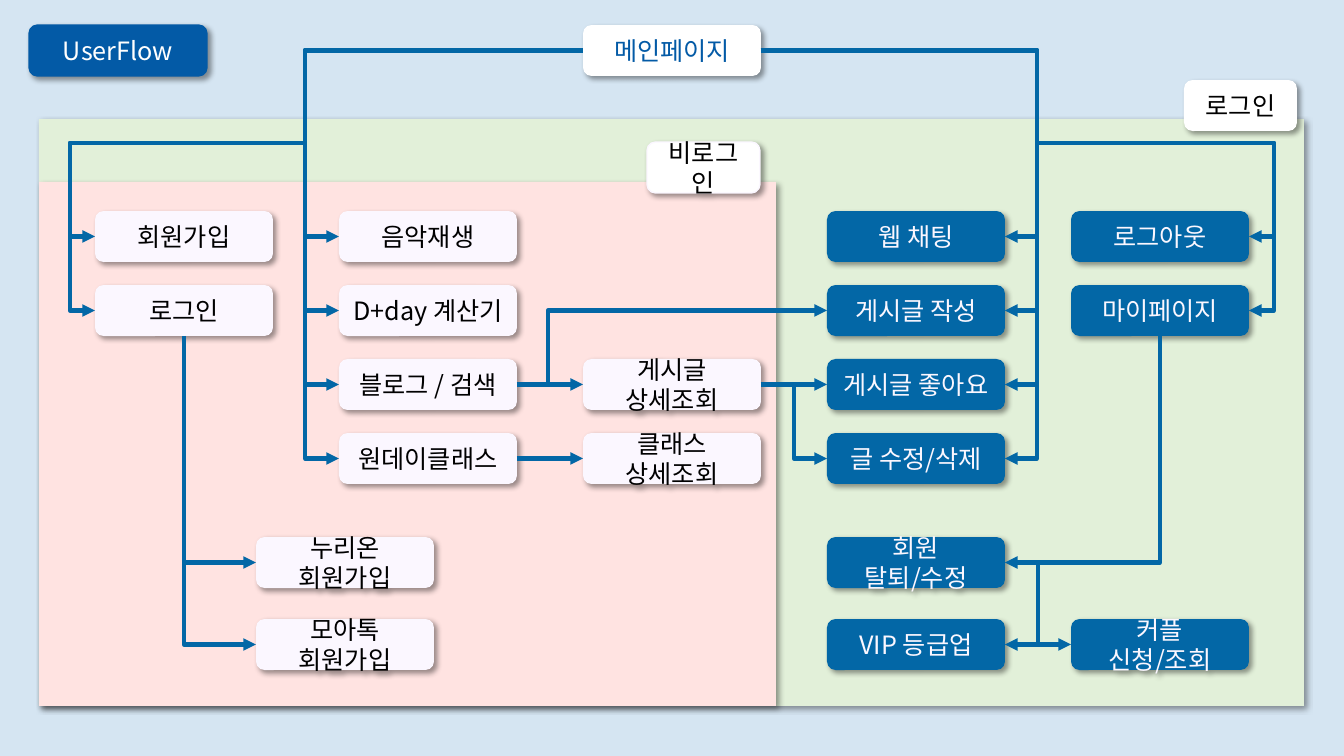
from lxml import etree
from pptx import Presentation
from pptx.dml.color import RGBColor
from pptx.enum.shapes import MSO_CONNECTOR, MSO_SHAPE
from pptx.enum.text import MSO_ANCHOR, PP_ALIGN
from pptx.oxml.ns import qn
from pptx.util import Pt

RECTANGLE, ROUNDED = MSO_SHAPE.RECTANGLE, MSO_SHAPE.ROUNDED_RECTANGLE
STRAIGHT, ELBOW = MSO_CONNECTOR.STRAIGHT, MSO_CONNECTOR.ELBOW
TOP, LEFT, BOTTOM, RIGHT = range(4)

PAGE_WIDTH, PAGE_HEIGHT = 1344, 756
SCALE = 12192000 / PAGE_WIDTH
FONT = "Noto Sans CJK KR"
COLORS = {
    "page": "D5E5F2", "member area": "E2F0D9", "guest area": "FFE3E1",
    "white": "FFFFFF", "pale": "FBF7FF", "black": "000000",
    "blue": "0367A6", "title blue": "035AA6",
}
# style: fill, text, outline
STYLES = {
    "guest": ("pale", "black", None),
    "member": ("blue", "pale", None),
    "main": ("white", "title blue", None),
    "member tag": ("white", "black", None),
    "guest tag": ("white", "black", "pale"),
    "title": ("title blue", "white", "title blue"),
}

BOX_WIDTH, BOX_HEIGHT, TAG_WIDTH = 178, 51, 113
COLUMNS = [95 + 244 * column for column in range(5)]
ROWS = [211 + 74 * row for row in range(4)]
SOCIAL_COLUMN = 256
ACCOUNT_ROW, SOCIAL_ROW = 537, 619
HEADER_ROW = 25

AREAS = [
    ("member area", 39, 119, 1265, 587),
    ("guest area", 39, 182, 737, 524),
]
# style, left, {label: top}
BOX_GROUPS = [
    ("main", COLUMNS[2], {"메인페이지": HEADER_ROW}),
    ("guest", COLUMNS[0], dict(zip(["회원가입", "로그인"], ROWS))),
    ("member", COLUMNS[4], dict(zip(["로그아웃", "마이페이지"], ROWS))),
    ("guest", COLUMNS[1],
     dict(zip(["음악재생", "D+day 계산기", "블로그 / 검색", "원데이클래스"], ROWS))),
    ("member", COLUMNS[3],
     dict(zip(["웹 채팅", "게시글 작성", "게시글 좋아요", "글 수정/삭제"], ROWS))),
    ("guest", COLUMNS[2], dict(zip(["게시글 상세조회", "클래스 상세조회"], ROWS[2:]))),
    ("member", COLUMNS[3], {"회원 탈퇴/수정": ACCOUNT_ROW, "VIP 등급업": SOCIAL_ROW}),
    ("member", COLUMNS[4], {"커플 신청/조회": SOCIAL_ROW}),
    ("guest", SOCIAL_COLUMN, {"누리온 회원가입": ACCOUNT_ROW, "모아톡 회원가입": SOCIAL_ROW}),
]
# style, label, left, top, width
TAGS = [
    ("guest tag", "비로그인", 647, 142, TAG_WIDTH),
    ("member tag", "로그인", 1184, 80, TAG_WIDTH),
    ("title", "UserFlow", 29, 25, BOX_WIDTH),
]
JUNCTIONS = {"guest fork": (305, 143), "member fork": (1037, 143), "account fork": (1038, 563)}
# source, source side, x of the bend (None is straight), target side, targets
FLOWS = [
    ("메인페이지", LEFT, 305, LEFT, ["음악재생", "D+day 계산기", "블로그 / 검색", "원데이클래스"]),
    ("블로그 / 검색", RIGHT, None, LEFT, ["게시글 상세조회"]),
    ("원데이클래스", RIGHT, None, LEFT, ["클래스 상세조회"]),
    ("블로그 / 검색", RIGHT, 548, LEFT, ["게시글 작성"]),
    ("guest fork", None, 70, LEFT, ["회원가입", "로그인"]),
    ("메인페이지", RIGHT, 1037, RIGHT, ["웹 채팅", "게시글 작성", "게시글 좋아요", "글 수정/삭제"]),
    ("게시글 상세조회", RIGHT, None, LEFT, ["게시글 좋아요"]),
    ("게시글 상세조회", RIGHT, 794, LEFT, ["글 수정/삭제"]),
    ("member fork", None, 1274, RIGHT, ["로그아웃", "마이페이지"]),
    ("로그인", BOTTOM, 184, LEFT, ["누리온 회원가입", "모아톡 회원가입"]),
    ("마이페이지", BOTTOM, 1160, RIGHT, ["회원 탈퇴/수정"]),
    ("account fork", None, 1038, RIGHT, ["VIP 등급업"]),
    ("account fork", None, 1038, LEFT, ["커플 신청/조회"]),
]


def emu(*lengths):
    return [round(length * SCALE) for length in lengths]


def color(name):
    return RGBColor.from_string(COLORS[name])


def add_shadow(shape):
    shape.shadow.inherit = False
    effects = shape._element.spPr.find(qn("a:effectLst"))
    shadow = etree.SubElement(effects, qn("a:outerShdw"), blurRad=str(Pt(4)),
                              dist=str(Pt(3)), dir="2700000", algn="tl", rotWithShape="0")
    tint = etree.SubElement(shadow, qn("a:srgbClr"), val=COLORS["black"])
    etree.SubElement(tint, qn("a:alpha"), val="40000")


def add_panel(page, preset, fill, outline, *place):
    panel = page.shapes.add_shape(preset, *emu(*place))
    panel.fill.solid()
    panel.fill.fore_color.rgb = color(fill)
    if outline:
        panel.line.color.rgb = color(outline)
        panel.line.width = Pt(1)
    else:
        panel.line.fill.background()
    add_shadow(panel)
    return panel


def add_box(page, style, label, left, top, width):
    fill, ink, outline = STYLES[style]
    box = add_panel(page, ROUNDED, fill, outline, left, top, width, BOX_HEIGHT)
    box.text_frame.word_wrap = True
    box.text_frame.vertical_anchor = MSO_ANCHOR.MIDDLE
    para = box.text_frame.paragraphs[0]
    para.alignment = PP_ALIGN.CENTER
    span = para.add_run()
    span.text = label
    for name, value in {"size": Pt(18), "name": FONT}.items():
        setattr(span.font, name, value)
    span.font.color.rgb = color(ink)
    etree.SubElement(span._r.get_or_add_rPr(), qn("a:ea"), typeface=FONT)
    return box


def side_middle(box, side):
    """Middle of one side of a box, in EMU."""
    across = {LEFT: 0, RIGHT: box.width}.get(side, box.width // 2)
    down = {TOP: 0, BOTTOM: box.height}.get(side, box.height // 2)
    return box.left + across, box.top + down


def add_arrow(page, start, end, bend):
    """Arrow from start to end in EMU; an elbow runs vertically at x = bend."""
    arrow = page.shapes.add_connector(ELBOW if bend else STRAIGHT, *start, *end)
    arrow.line.color.rgb = color("blue")
    arrow.line.width = Pt(3)
    properties = arrow._element.spPr
    if bend:
        share = round((emu(bend)[0] - start[0]) / (end[0] - start[0]) * 100000)
        guides = properties.find(qn("a:prstGeom")).get_or_add_avLst()
        etree.SubElement(guides, qn("a:gd"), name="adj1", fmla=f"val {share}")
    etree.SubElement(arrow.line._get_or_add_ln(), qn("a:tailEnd"), type="triangle")
    etree.SubElement(properties, qn("a:effectLst"))
    return arrow


def main():
    deck = Presentation()
    deck.slide_width, deck.slide_height = emu(PAGE_WIDTH, PAGE_HEIGHT)
    page = deck.slides.add_slide(deck.slide_layouts[6])
    page.background.fill.solid()
    page.background.fill.fore_color.rgb = color("page")

    for fill, *place in AREAS:
        add_panel(page, RECTANGLE, fill, None, *place)
    boxes = {label: add_box(page, style, label, left, top, BOX_WIDTH)
             for style, left, tops in BOX_GROUPS for label, top in tops.items()}

    for source, source_side, bend, target_side, targets in FLOWS:
        if source in JUNCTIONS:
            start = emu(*JUNCTIONS[source])
        else:
            start = side_middle(boxes[source], source_side)
        for target in targets:
            arrow = add_arrow(page, start, side_middle(boxes[target], target_side), bend)
            if bend is None:
                arrow.begin_connect(boxes[source], source_side)
                arrow.end_connect(boxes[target], target_side)

    for tag in TAGS:
        add_box(page, *tag)
    deck.save("out.pptx")


if __name__ == "__main__":
    main()
